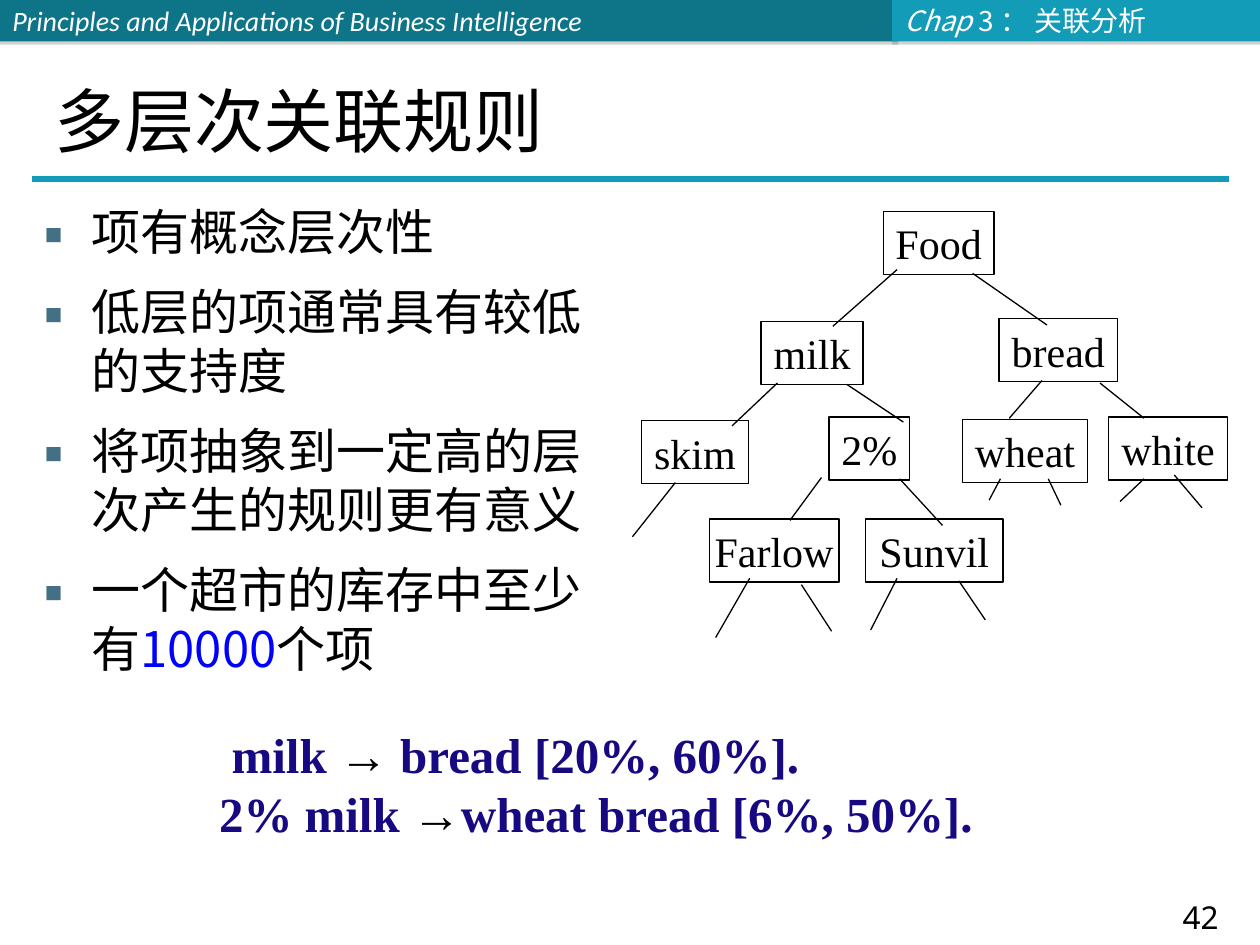
from typing import NamedTuple

from lxml.etree import SubElement
from pptx import Presentation
from pptx.dml.color import RGBColor
from pptx.enum.shapes import MSO_CONNECTOR as CONN, MSO_SHAPE as SHAPE
from pptx.enum.text import MSO_ANCHOR as ANCHOR, MSO_AUTO_SIZE as FIT, PP_ALIGN as ALIGN
from pptx.oxml.ns import qn
from pptx.util import Inches, Pt

BLACK = RGBColor(0x00, 0x00, 0x00)
WHITE = RGBColor(0xFF, 0xFF, 0xFF)
DARK_TEAL = RGBColor(0x0E, 0x75, 0x89)
TEAL = RGBColor(0x13, 0x9C, 0xB7)
BLUE = RGBColor(0x00, 0x00, 0xFF)
NAVY = RGBColor(0x17, 0x09, 0x81)
SLATE = "437085"
SHADOW_GREY = "808080"

CJK = "Noto Sans CJK SC"
SERIF = "Times New Roman"


class Node(NamedTuple):
    text: str
    left: float
    top: float
    width: float


class Edge(NamedTuple):
    x1: float
    y1: float
    x2: float
    y2: float


NODES = [
    Node("Food", 7.01, 1.68, 0.88),
    Node("milk", 6.04, 2.55, 0.81),
    Node("bread", 7.93, 2.53, 0.94),
    Node("skim", 5.09, 3.34, 0.85),
    Node("2%", 6.58, 3.31, 0.64),
    Node("wheat", 7.64, 3.33, 0.99),
    Node("white", 8.8, 3.31, 0.94),
    Node("Farlow", 5.63, 4.12, 1.03),
    Node("Sunvil", 6.87, 4.12, 1.09),
]
NODE_HEIGHT = 0.5

EDGES = [
    # Between the levels
    Edge(7.12, 2.14, 6.61, 2.59), Edge(7.72, 2.17, 8.31, 2.58),
    Edge(6.17, 3.04, 5.81, 3.38), Edge(6.72, 3.05, 7.17, 3.35),
    Edge(8.27, 3.02, 8.01, 3.32), Edge(8.73, 3.04, 9.08, 3.32),
    Edge(6.52, 3.79, 6.27, 4.13), Edge(7.14, 3.8, 7.48, 4.17),
    # Open branches
    Edge(5.36, 3.83, 5.02, 4.26),
    Edge(7.94, 3.8, 7.85, 3.97), Edge(8.32, 3.8, 8.42, 4.01),
    Edge(9.08, 3.8, 8.89, 3.98), Edge(9.32, 3.77, 9.54, 4.03),
    Edge(5.95, 4.59, 5.68, 5.06), Edge(6.36, 4.64, 6.6, 5.01),
    Edge(7.12, 4.59, 6.91, 5), Edge(7.61, 4.61, 7.82, 4.92),
]

BULLETS = [
    [("项有概念层次性", BLACK)],
    [("低层的项通常具有较低的支持度", BLACK)],
    [("将项抽象到一定高的层次产生的规则更有意义", BLACK)],
    [("一个超市的库存中至少有", BLACK), ("10000", BLUE), ("个项", BLACK)],
]
RULES = [("milk ", " bread\t[20%, 60%]."), ("2% milk ", "wheat bread [6%, 50%].")]


def add_run(p, text: str, font: str, size: float, color: RGBColor, **extra) -> None:
    r = p.add_run()
    r.text = text
    r.font.color.rgb = color
    for name, value in {"name": font, "size": Pt(size), **extra}.items():
        setattr(r.font, name, value)
    SubElement(r.font._element, qn("a:ea"), typeface=font)


def add_rect(slide, left: float, top: float, width: float, height: float, fill: RGBColor):
    sp = slide.shapes.add_shape(
        SHAPE.RECTANGLE, Inches(left), Inches(top), Inches(width), Inches(height))
    sp.shadow.inherit = False
    sp.fill.solid()
    sp.fill.fore_color.rgb = fill
    sp.text_frame.vertical_anchor = ANCHOR.MIDDLE
    return sp


def add_text(slide, left: float, top: float, width: float, height: float):
    tf = slide.shapes.add_textbox(
        Inches(left), Inches(top), Inches(width), Inches(height)).text_frame
    tf.word_wrap = True
    return tf


def add_line(slide, edge: Edge, color: RGBColor, width: float) -> None:
    line = slide.shapes.add_connector(CONN.STRAIGHT, *(Inches(v) for v in edge))
    line.line.color.rgb = color
    line.line.width = Pt(width)
    SubElement(line._element.spPr, qn("a:effectLst"))


def add_band(slide, left: float, width: float, fill: RGBColor):
    """Header band with a thin hard shadow below; returns its paragraph."""
    sp = add_rect(slide, left, 0, width, 0.33, fill)
    sp.line.fill.background()
    effects = sp._element.spPr.find(qn("a:effectLst"))
    shadow = SubElement(effects, qn("a:outerShdw"), blurRad="0",
                        dist=str(Pt(1.8)), dir="5400000", rotWithShape="0")
    grey = SubElement(shadow, qn("a:srgbClr"), val=SHADOW_GREY)
    SubElement(grey, qn("a:alpha"), val="35000")
    p = sp.text_frame.paragraphs[0]
    p.alignment = ALIGN.LEFT
    return p


def add_node(slide, node: Node) -> None:
    sp = add_rect(slide, node.left, node.top, node.width, NODE_HEIGHT, WHITE)
    sp.line.color.rgb = BLACK
    sp.line.width = Pt(0.75)
    sp.text_frame.word_wrap = False
    p = sp.text_frame.paragraphs[0]
    p.alignment = ALIGN.CENTER
    add_run(p, node.text, SERIF, 24, BLACK)


def set_bullet(p) -> None:
    pPr = p._p.get_or_add_pPr()
    pPr.set("marL", str(Inches(0.38)))
    pPr.set("indent", str(Inches(-0.38)))
    SubElement(SubElement(pPr, qn("a:buClr")), qn("a:srgbClr"), val=SLATE)
    SubElement(pPr, qn("a:buFont"), typeface="Noto Sans")
    SubElement(pPr, qn("a:buChar"), char="▪")


def main() -> None:
    prs = Presentation()
    prs.slide_width, prs.slide_height = Inches(10), Inches(7.5)
    slide = prs.slides.add_slide(prs.slide_layouts[5])

    # Header bands, rule and page number
    p = add_band(slide, 0, 7.13, DARK_TEAL)
    add_run(p, "Principles and Applications of Business Intelligence",
            "Calibri", 16, WHITE, italic=True)
    p = add_band(slide, 7.08, 2.94, TEAL)
    add_run(p, "Chap ", CJK, 16, WHITE, italic=True)
    add_run(p, "3 ： 关联分析", CJK, 16, WHITE)
    add_line(slide, Edge(0.25, 1.42, 9.75, 1.42), TEAL, 3)
    p = add_text(slide, 9.03, 7.1, 1, 0.38).paragraphs[0]
    p.alignment = ALIGN.CENTER
    p.line_spacing = Pt(20)
    add_run(p, "42", "Noto Sans", 18, BLACK)

    # Title
    title = slide.shapes.title
    box = {"left": 0.33, "top": 0.33, "width": 9.33, "height": 1}
    for name, value in box.items():
        setattr(title, name, Inches(value))
    tf = title.text_frame
    tf.auto_size = FIT.NONE
    tf.vertical_anchor = ANCHOR.BOTTOM
    p = tf.paragraphs[0]
    p.alignment = ALIGN.LEFT
    add_run(p, "多层次关联规则", CJK, 40, BLACK)

    # Bullet list
    tf = add_text(slide, 0.25, 1.55, 4.58, 5.62)
    for i, parts in enumerate(BULLETS):
        p = tf.add_paragraph() if i else tf.paragraphs[0]
        set_bullet(p)
        p.line_spacing = Pt(33.7)
        p.space_before = Pt(12 if i else 0)
        for text, color in parts:
            add_run(p, text, CJK, 28, color)

    # Concept tree
    for node in NODES:
        add_node(slide, node)
    for edge in EDGES:
        add_line(slide, edge, BLACK, 0.75)

    # Example rules, the first one slightly indented
    tf = add_text(slide, 1.64, 5.7, 7.75, 1.04)
    for i, (before, after) in enumerate(RULES):
        p = tf.add_paragraph() if i else tf.paragraphs[0]
        if not i:
            pPr = p._p.get_or_add_pPr()
            pPr.set("indent", str(Inches(0.1)))
            tabs = SubElement(pPr, qn("a:tabLst"))
            SubElement(tabs, qn("a:tab"), pos=str(Inches(2.6)), algn="l")
        add_run(p, before, SERIF, 28, NAVY, bold=True)
        add_run(p, "→", SERIF, 28, BLACK, bold=True, italic=True)
        add_run(p, after, SERIF, 28, NAVY, bold=True)

    prs.save("out.pptx")


if __name__ == "__main__":
    main()
